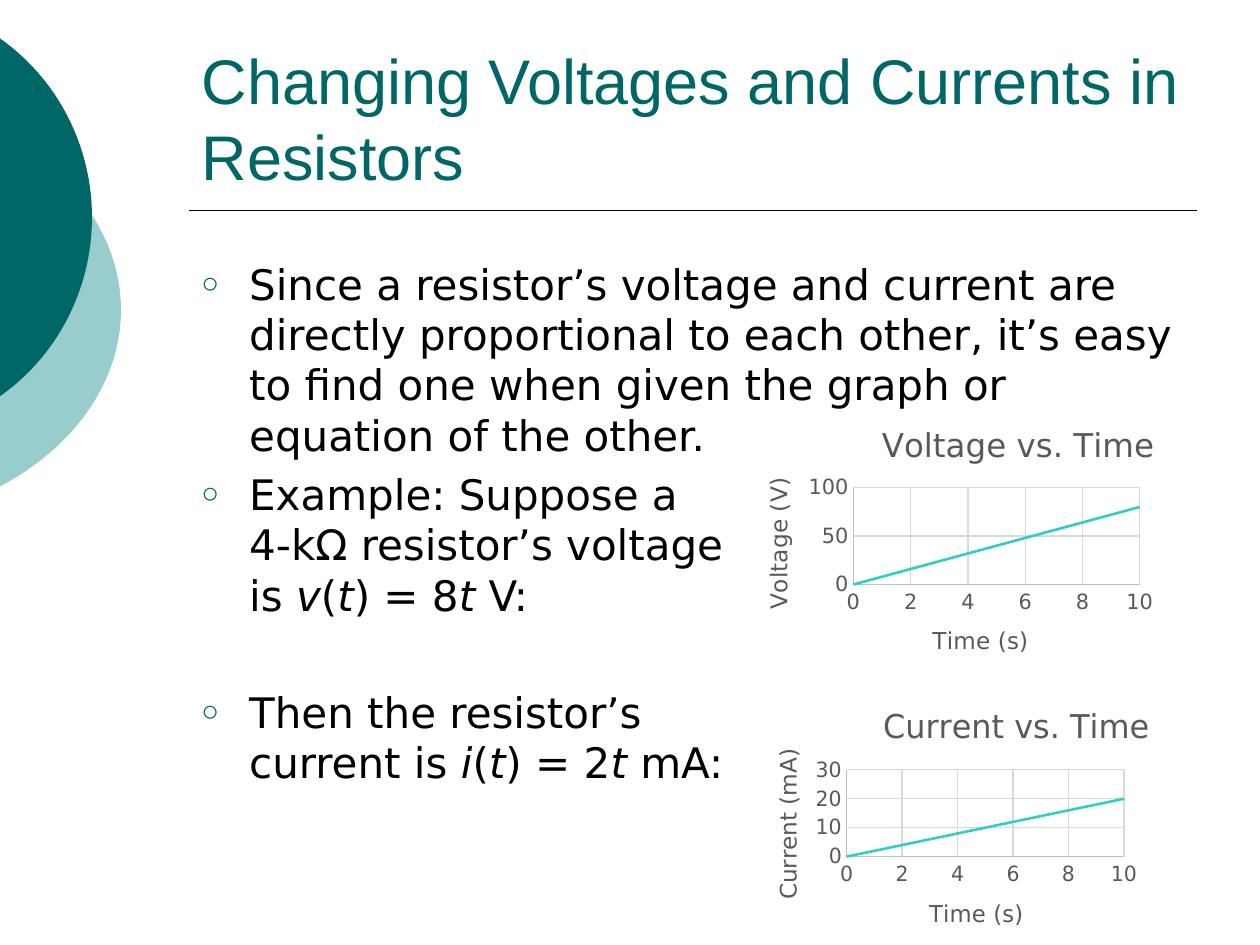
from lxml import etree
from pptx import Presentation
from pptx.chart.data import XyChartData
from pptx.dml.color import RGBColor
from pptx.enum import chart as charts, shapes, text
from pptx.oxml.ns import qn
from pptx.util import Inches, Pt

TEAL = RGBColor(0x00, 0x66, 0x66)
PALE_TEAL = RGBColor(0x99, 0xCC, 0xCC)
CURVE = RGBColor(0x33, 0xCC, 0xCC)
BLACK = RGBColor(0x00, 0x00, 0x00)
LABEL_GREY = RGBColor(0x59, 0x59, 0x59)
AXIS_GREY = RGBColor(0xBF, 0xBF, 0xBF)
GRID_GREY = RGBColor(0xD9, 0xD9, 0xD9)
HEADING_FONT, BODY_FONT = "Arial", "DejaVu Sans"

HEADING = "Changing Voltages and Currents in Resistors"

# (space before in points, runs as (text, italic)); "\n" is a line break
BULLETS = [
    (5, [("Since a resistor’s voltage and current are directly proportional to "
          "each other, it’s easy to find one when given the graph or equation "
          "of the other.", False)]),
    (5, [("Example: Suppose a\n4-kΩ resistor’s voltage \nis ", False),
         ("v", True), ("(", False), ("t", True), (") = 8", False),
         ("t ", True), ("V:", False)]),
    (38, [("Then the resistor’s\ncurrent is ", False),
          ("i", True), ("(", False), ("t", True), (") = 2", False),
          ("t ", True), ("mA:", False)]),
]

# Ellipses reaching in over the left edge: left, top, width, height
DISCS = [
    ((-3.54, 0.75, 4.5, 3.42), PALE_TEAL),
    ((-2.65, 0, 3.38, 3.45), TEAL),
]

# Places are in inches on the slide
TIMES = (0, 5, 10)
GRAPHS = [
    {"frame": (5.83, 3.17, 3.38, 2.25), "plot": (6.78, 3.87, 2.29, 0.77),
     "title": "Voltage vs. Time", "title_at": (6.96, 3.31),
     "time_at": (7.38, 4.92), "quantity": "Voltage (V)", "quantity_at": (6.02, 3.75),
     "values": (0, 40, 80)},
    {"frame": (5.92, 5.41, 3.25, 2.17), "plot": (6.74, 6.11, 2.26, 0.69),
     "title": "Current vs. Time", "title_at": (6.99, 5.54),
     "time_at": (7.38, 7.09), "quantity": "Current (mA)", "quantity_at": (6.1, 5.88),
     "values": (0, 10, 20)},
]


def style_font(font, name, size, color):
    font.name, font.size, font.bold = name, Pt(size), False
    font.color.rgb = color


def add_disc(slide, box, color):
    disc = slide.shapes.add_shape(shapes.MSO_SHAPE.OVAL, *map(Inches, box))
    disc.fill.solid()
    disc.fill.fore_color.rgb = color
    disc.line.fill.background()
    disc.shadow.inherit = False


def add_rule(slide):
    rule = slide.shapes.add_connector(
        shapes.MSO_CONNECTOR.STRAIGHT,
        Inches(1.5), Inches(1.67), Inches(9.5), Inches(1.67))
    rule.line.color.rgb = BLACK
    rule.line.width = Pt(1)
    etree.SubElement(rule.element.spPr, qn("a:effectLst"))


def fill_heading(heading):
    heading.left, heading.top = Inches(1.5), Inches(0.33)
    heading.width, heading.height = Inches(8), Inches(1.25)
    frame = heading.text_frame
    frame.auto_size = text.MSO_AUTO_SIZE.NONE
    frame.vertical_anchor = text.MSO_ANCHOR.BOTTOM
    paragraph = frame.paragraphs[0]
    paragraph.alignment = text.PP_ALIGN.LEFT
    run = paragraph.add_run()
    run.text = HEADING
    style_font(run.font, HEADING_FONT, 36, TEAL)


def add_bullet_mark(paragraph):
    props = paragraph._p.get_or_add_pPr()
    props.set("marL", str(Inches(0.38)))
    props.set("indent", str(-Inches(0.38)))
    color = etree.SubElement(props, qn("a:buClr"))
    etree.SubElement(color, qn("a:srgbClr"), val=str(TEAL))
    etree.SubElement(props, qn("a:buSzPct"), val="70000")
    etree.SubElement(props, qn("a:buFont"), typeface=HEADING_FONT)
    etree.SubElement(props, qn("a:buChar"), char="○")


def add_bullets(slide):
    body = slide.shapes.add_textbox(Inches(1.5), Inches(2), Inches(8), Inches(4.5))
    frame = body.text_frame
    frame.word_wrap = True
    for i, (space, runs) in enumerate(BULLETS):
        paragraph = frame.add_paragraph() if i else frame.paragraphs[0]
        paragraph.space_before = Pt(space)
        add_bullet_mark(paragraph)
        for words, italic in runs:
            for j, line in enumerate(words.split("\n")):
                if j:
                    paragraph.add_line_break()
                run = paragraph.add_run()
                run.text = line
                style_font(run.font, BODY_FONT, 24, BLACK)
                run.font.italic = italic


def place(element, frame, left, top, width=None, height=None):
    """Fix a chart part at a place given in inches on the slide."""
    layout = element.find(qn("c:layout"))
    if layout is None:
        layout = etree.Element(qn("c:layout"))
        element.insert(0 if width else 1, layout)
    manual = etree.SubElement(layout, qn("c:manualLayout"))
    x, y, w, h = frame
    settings = [("xMode", "edge"), ("yMode", "edge"),
                ("x", (left - x) / w), ("y", (top - y) / h)]
    if width:
        settings.insert(0, ("layoutTarget", "inner"))
        settings += [("w", width / w), ("h", height / h)]
    for tag, value in settings:
        etree.SubElement(manual, qn("c:" + tag), val=str(value))


def write_title(title, words, size, frame, spot):
    run = title.text_frame.paragraphs[0].add_run()
    run.text = words
    style_font(run.font, BODY_FONT, size, LABEL_GREY)
    place(title.element, frame, *spot)


def style_axis(axis):
    axis.major_tick_mark = axis.minor_tick_mark = charts.XL_TICK_MARK.NONE
    axis.has_major_gridlines = True
    for part, color in ((axis, AXIS_GREY), (axis.major_gridlines, GRID_GREY)):
        part.format.line.color.rgb = color
        part.format.line.width = Pt(0.75)
    style_font(axis.tick_labels.font, BODY_FONT, 12, LABEL_GREY)


def add_graph(slide, graph):
    data = XyChartData()
    series = data.add_series("Series 1")
    for time, value in zip(TIMES, graph["values"]):
        series.add_data_point(time, value)
    frame = graph["frame"]
    chart = slide.shapes.add_chart(
        charts.XL_CHART_TYPE.XY_SCATTER_SMOOTH_NO_MARKERS,
        *map(Inches, frame), data).chart
    style_font(chart.font, BODY_FONT, 10, BLACK)
    chart.has_legend = False
    chart.plots[0].vary_by_categories = False
    curve = chart.plots[0].series[0]
    curve.smooth = True
    curve.format.line.color.rgb = CURVE
    curve.format.line.width = Pt(1.5)

    time_axis, quantity_axis = chart.category_axis, chart.value_axis
    style_axis(time_axis)
    style_axis(quantity_axis)
    time_axis.maximum_scale, time_axis.major_unit = 10, 2
    write_title(chart.chart_title, graph["title"], 18.7, frame, graph["title_at"])
    write_title(time_axis.axis_title, "Time (s)", 13.3, frame, graph["time_at"])
    quantity_title = quantity_axis.axis_title
    write_title(quantity_title, graph["quantity"], 13.3, frame, graph["quantity_at"])
    quantity_title.element.find(".//" + qn("a:bodyPr")).set("rot", "-5400000")
    place(chart.element.find(".//" + qn("c:plotArea")), frame, *graph["plot"])


def main():
    deck = Presentation()
    deck.slide_width, deck.slide_height = Inches(10), Inches(7.5)
    slide = deck.slides.add_slide(deck.slide_layouts[5])
    for box, color in DISCS:
        add_disc(slide, box, color)
    add_rule(slide)
    fill_heading(slide.shapes.title)
    add_bullets(slide)
    for graph in GRAPHS:
        add_graph(slide, graph)
    deck.save("out.pptx")


if __name__ == "__main__":
    main()
